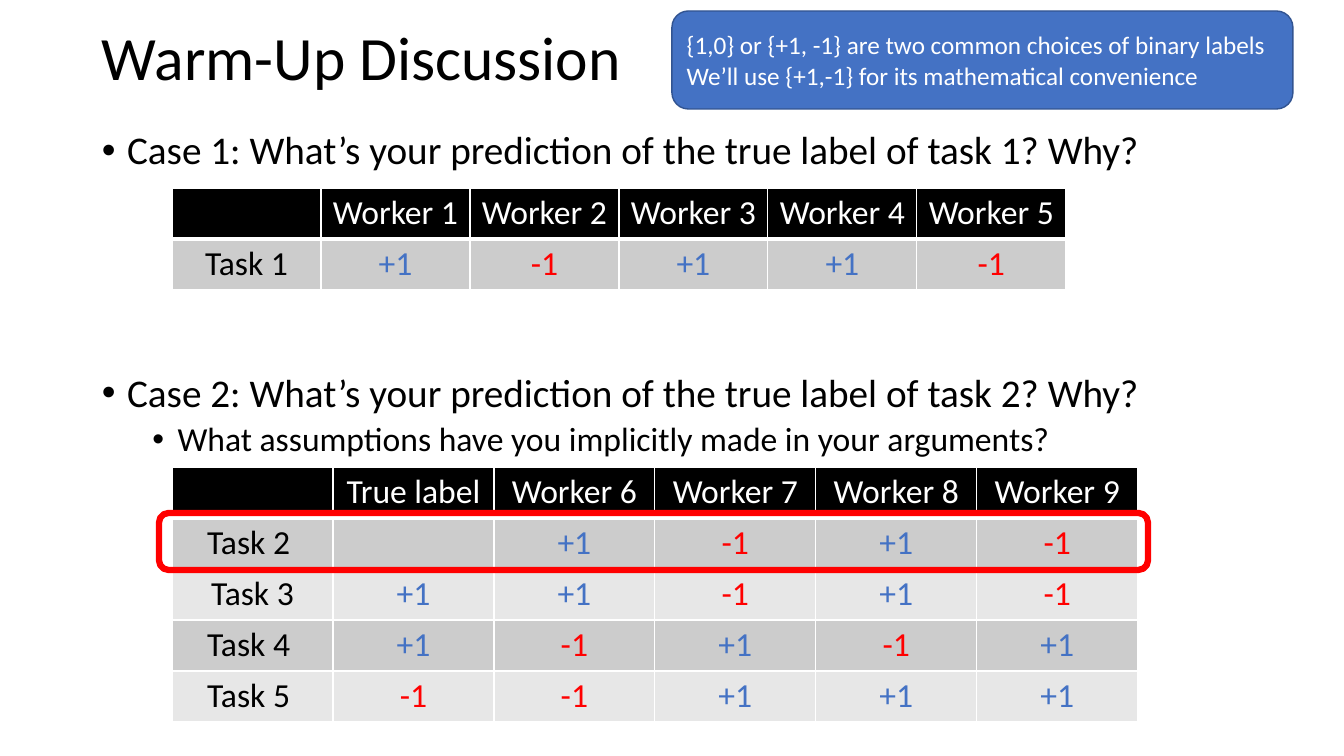
from lxml import etree
from pptx import Presentation
from pptx.dml.color import RGBColor
from pptx.enum.shapes import MSO_SHAPE
from pptx.enum.text import MSO_ANCHOR, PP_ALIGN
from pptx.oxml.ns import qn
from pptx.util import Emu, Inches, Pt

ROUND_RECT = MSO_SHAPE.ROUNDED_RECTANGLE
TOP, MIDDLE = MSO_ANCHOR.TOP, MSO_ANCHOR.MIDDLE
LEFT, CENTER = PP_ALIGN.LEFT, PP_ALIGN.CENTER
EMU_PER_PX = 914400 / 100.8
BLACK, WHITE, BLUE, RED = "000000", "FFFFFF", "4472C4", "FF0000"
BANDS = ["CCCCCC", "E7E7E7"]
LABEL_COLORS = {"+1": BLUE, "-1": RED}


def px(n):
    return Emu(round(n * EMU_PER_PX))


def rgb(hex_color):
    return RGBColor.from_string(hex_color)


class SlideBuilder:
    font = "Calibri"

    def __init__(self, slide):
        self.s = slide

    def run(self, p, text, size, color):
        r = p.add_run()
        r.text = text
        r.font.name = self.font
        r.font.size = Pt(size)
        r.font.color.rgb = rgb(color)

    def text_box(self, left, top, width, height, anchor):
        sp = self.s.shapes.add_textbox(px(left), px(top), px(width), px(height))
        tf = sp.text_frame
        tf.word_wrap = True
        tf.vertical_anchor = anchor
        return tf

    def bullet(self, p, indent):
        pPr = p._p.get_or_add_pPr()
        pPr.set("marL", str(Inches(indent)))
        pPr.set("indent", str(Inches(-0.25)))
        etree.SubElement(pPr, qn("a:buFont"), typeface="Arial")
        etree.SubElement(pPr, qn("a:buChar"), char="•")

    def title(self, box, text):
        p = self.text_box(*box, MIDDLE).paragraphs[0]
        p.line_spacing = 0.9
        self.run(p, text, 44, BLACK)

    def bullets(self, box, items):
        tf = self.text_box(*box, TOP)
        for i, (text, size, indent, before) in enumerate(items):
            p = tf.add_paragraph() if i else tf.paragraphs[0]
            self.bullet(p, indent)
            p.line_spacing = 0.9
            p.space_before = Pt(before)
            self.run(p, text, size, BLACK)

    def rounded(self, box, fill, line, weight, lines=()):
        sp = self.s.shapes.add_shape(ROUND_RECT, *map(px, box))
        sp.shadow.inherit = False
        if fill:
            sp.fill.solid()
            sp.fill.fore_color.rgb = rgb(fill)
        else:
            sp.fill.background()
        sp.line.color.rgb = rgb(line)
        sp.line.width = Pt(weight)
        tf = sp.text_frame
        tf.word_wrap = True
        tf.vertical_anchor = MIDDLE
        for i, text in enumerate(lines):
            p = tf.add_paragraph() if i else tf.paragraphs[0]
            p.alignment = LEFT
            self.run(p, text, 18, WHITE)

    def borders(self, cell, bottom):
        tcPr = cell._tc.get_or_add_tcPr()
        for side, weight in zip("LRTB", (1, 1, 1, bottom)):
            ln = etree.SubElement(tcPr, qn("a:ln" + side), w=str(Pt(weight)))
            fill = etree.SubElement(ln, qn("a:solidFill"))
            etree.SubElement(fill, qn("a:srgbClr"), val=WHITE)

    def table(self, left, top, col_width, row_height, rows):
        n_rows, n_cols = len(rows), len(rows[0])
        tbl = self.s.shapes.add_table(
            n_rows, n_cols, px(left), px(top),
            px(col_width * n_cols), px(row_height * n_rows)).table
        for col in tbl.columns:
            col.width = px(col_width)
        for i, values in enumerate(rows):
            header = i == 0
            tbl.rows[i].height = px(row_height)
            for j, text in enumerate(values):
                cell = tbl.cell(i, j)
                self.borders(cell, 3 if header else 1)
                cell.fill.solid()
                cell.fill.fore_color.rgb = rgb(BLACK if header else BANDS[(i - 1) % 2])
                if text:
                    p = cell.text_frame.paragraphs[0]
                    p.alignment = CENTER
                    color = WHITE if header else LABEL_COLORS.get(text, BLACK)
                    self.run(p, text, 24, color)


def main():
    prs = Presentation()
    prs.slide_width, prs.slide_height = px(1344), px(756)
    b = SlideBuilder(prs.slides.add_slide(prs.slide_layouts[6]))

    # Title and questions
    b.title((92, 14, 1159, 94), "Warm-Up Discussion")
    b.bullets((92, 126, 1159, 480), [
        ("Case 1: What’s your prediction of the true label of task 1? Why?", 28, 0.25, 0),
        ("Case 2: What’s your prediction of the true label of task 2? Why?", 28, 0.25, 143),
        ("What assumptions have you implicitly made in your arguments?", 24, 0.75, 5),
    ])

    # Worker answers for each case
    b.table(172, 188, 149, 51, [
        [""] + [f"Worker {n}" for n in range(1, 6)],
        ["Task 1", "+1", "-1", "+1", "+1", "-1"],
    ])
    b.table(172, 467, 161, 51, [
        ["", "True label"] + [f"Worker {n}" for n in range(6, 10)],
        ["Task 2 ", "", "+1", "-1", "+1", "-1"],
        ["Task 3", "+1", "+1", "-1", "+1", "-1"],
        ["Task 4 ", "+1", "-1", "+1", "-1", "+1"],
        ["Task 5 ", "-1", "-1", "+1", "+1", "+1"],
    ])

    # Note on label choice, and highlight around task 2
    b.rounded((672, 11, 621, 98), BLUE, "325491", 1, [
        "{1,0} or {+1, -1} are two common choices of binary labels",
        "We’ll use {+1,-1} for its mathematical convenience",
    ])
    b.rounded((159, 513, 989, 57), None, RED, 4.5)

    prs.save("out.pptx")


if __name__ == "__main__":
    main()
